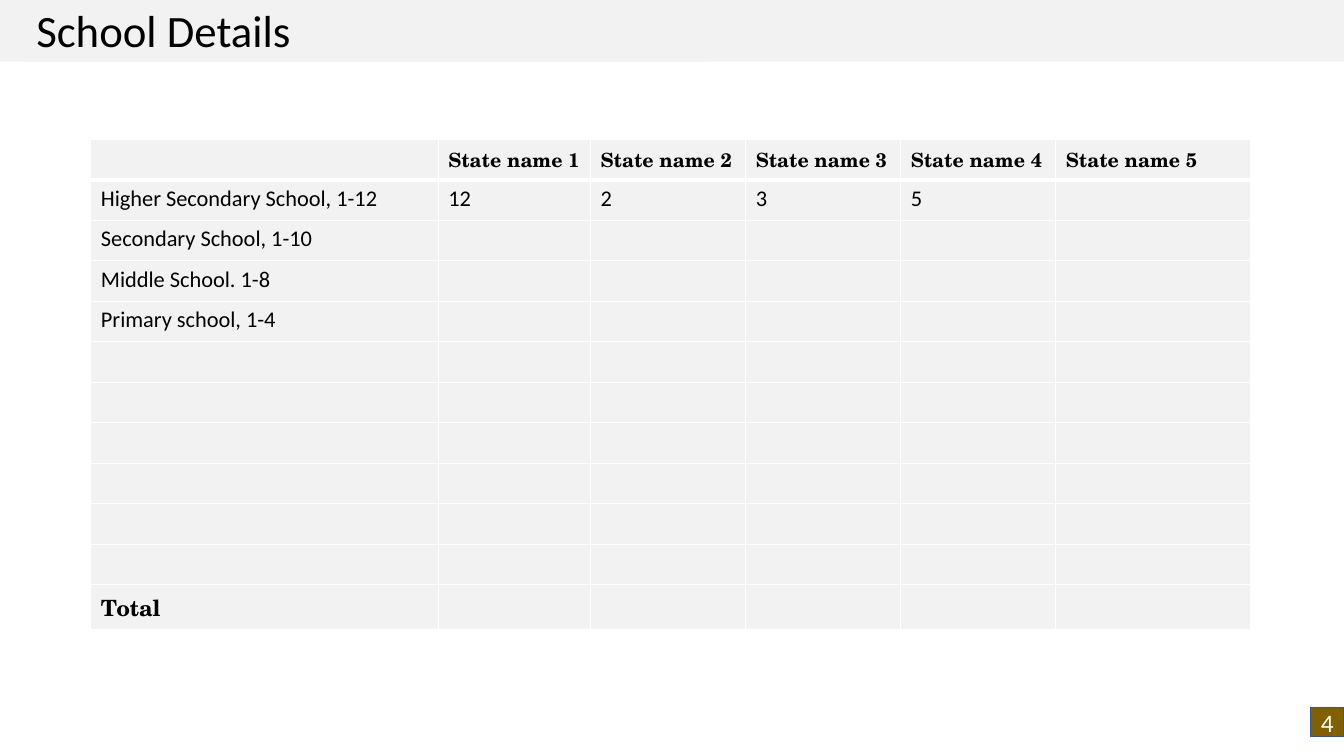
from dataclasses import dataclass

from lxml.etree import SubElement
from pptx import Presentation
from pptx.dml.color import RGBColor
from pptx.enum.shapes import MSO_SHAPE
from pptx.enum.text import MSO_ANCHOR, MSO_AUTO_SIZE, PP_ALIGN
from pptx.oxml.ns import qn
from pptx.shapes.autoshape import Shape
from pptx.slide import Slide
from pptx.table import _Cell
from pptx.text.text import _Paragraph
from pptx.util import Pt


@dataclass(frozen=True)
class Theme:
    panel: str = "F2F2F2"
    rule: str = "FFFFFF"
    ink: str = "000000"
    badge: str = "806000"
    badge_line: str = "325491"
    badge_ink: str = "FFFFFF"
    body_font: str = "Calibri"
    accent_font: str = "TeX Gyre Schola"
    title_size: float = 32
    header_size: float = 14
    body_size: float = 16
    badge_size: float = 18


@dataclass(frozen=True)
class Box:
    left: float
    top: float
    width: float
    height: float


@dataclass(frozen=True)
class TextStyle:
    font: str
    size: float
    color: str
    bold: bool = False


@dataclass(frozen=True)
class SchoolRow:
    label: str = ""
    counts: tuple[str, ...] = ()


THEME = Theme()
TITLE = TextStyle(THEME.body_font, THEME.title_size, THEME.ink)
HEADER = TextStyle(THEME.accent_font, THEME.header_size, THEME.ink, True)
BODY = TextStyle(THEME.body_font, THEME.body_size, THEME.ink)
TOTAL = TextStyle(THEME.accent_font, THEME.body_size, THEME.ink, True)
BADGE = TextStyle(THEME.body_font, THEME.badge_size, THEME.badge_ink)

BAND_BOX = Box(-13, -2, 986, 46)
TITLE_BOX = Box(18.7, -2, 484.6, 46)
TABLE_BOX = Box(64.9, 99.4, 828.7, 344.9)
BADGE_BOX = Box(936, 505.6, 24, 20.4)

COLUMN_WIDTHS = (248.2, 108.8, 110.8, 110.8, 110.8, 139.3)
HEADER_HEIGHT = 26.4
BLANK_ROWS = 6
STATES = tuple(f"State name {n}" for n in range(1, 6))
SCHOOLS = [
    SchoolRow("Higher Secondary School, 1-12", ("12", "2", "3", "5")),
    SchoolRow("Secondary School, 1-10"),
    SchoolRow("Middle School. 1-8"),
    SchoolRow("Primary school, 1-4"),
    *[SchoolRow()] * BLANK_ROWS,
    SchoolRow("Total"),
]


def rgb(color: str) -> RGBColor:
    return RGBColor.from_string(color)


def place(box: Box) -> tuple[Pt, Pt, Pt, Pt]:
    return Pt(box.left), Pt(box.top), Pt(box.width), Pt(box.height)


def add_run(p: _Paragraph, text: str, style: TextStyle) -> None:
    r = p.add_run()
    r.text = text
    r.font.name = style.font
    r.font.size = Pt(style.size)
    r.font.bold = style.bold
    r.font.color.rgb = rgb(style.color)


def add_rectangle(s: Slide, box: Box, fill: str, line: str = "") -> Shape:
    sp = s.shapes.add_shape(MSO_SHAPE.RECTANGLE, *place(box))
    sp.shadow.inherit = False
    sp.fill.solid()
    sp.fill.fore_color.rgb = rgb(fill)
    if line:
        sp.line.color.rgb = rgb(line)
        sp.line.width = Pt(1)
    else:
        sp.line.fill.background()
    return sp


def add_title(s: Slide) -> None:
    """Put the title on a band that spans the slide."""
    sp = s.shapes.title
    band = add_rectangle(s, BAND_BOX, THEME.panel)
    sp._element.addprevious(band._element)
    sp.left, sp.top, sp.width, sp.height = place(TITLE_BOX)
    sp.fill.solid()
    sp.fill.fore_color.rgb = rgb(THEME.panel)
    tf = sp.text_frame
    tf.word_wrap = True
    tf.auto_size = MSO_AUTO_SIZE.NONE
    tf.vertical_anchor = MSO_ANCHOR.TOP
    p = tf.paragraphs[0]
    p.alignment = PP_ALIGN.LEFT
    add_run(p, "School Details", TITLE)


def set_borders(cell: _Cell, top: float, bottom: float) -> None:
    tc_pr = cell._tc.get_or_add_tcPr()
    for side, width in (("L", 1), ("R", 1), ("T", top), ("B", bottom)):
        ln = SubElement(tc_pr, qn(f"a:ln{side}"), w=str(Pt(width)))
        fill = SubElement(ln, qn("a:solidFill"))
        SubElement(fill, qn("a:srgbClr"), val=THEME.rule)


def fill_cell(cell: _Cell, text: str, style: TextStyle, row: int) -> None:
    set_borders(cell, top=3 if row == 1 else 1, bottom=3 if row == 0 else 1)
    cell.fill.solid()
    cell.fill.fore_color.rgb = rgb(THEME.panel)
    p = cell.text_frame.paragraphs[0]
    if text:
        add_run(p, text, style)
    else:
        # An empty cell would otherwise take 18 pt and stretch its row.
        SubElement(p._p, qn("a:endParaRPr"), sz=str(int(style.size * 100)))


def add_school_table(s: Slide) -> None:
    rows = [SchoolRow("", STATES), *SCHOOLS]
    table = s.shapes.add_table(len(rows), len(COLUMN_WIDTHS), *place(TABLE_BOX)).table
    table.horz_banding = False
    for column, width in zip(table.columns, COLUMN_WIDTHS):
        column.width = Pt(width)
    row_height = (TABLE_BOX.height - HEADER_HEIGHT) / len(SCHOOLS)
    for i, row in enumerate(rows):
        table.rows[i].height = Pt(row_height if i else HEADER_HEIGHT)
        style = HEADER if i == 0 else TOTAL if row.label == "Total" else BODY
        texts = (row.label, *row.counts)
        for j, cell in enumerate(table.rows[i].cells):
            fill_cell(cell, texts[j] if j < len(texts) else "", style, i)


def add_page_badge(s: Slide) -> None:
    sp = add_rectangle(s, BADGE_BOX, THEME.badge, THEME.badge_line)
    tf = sp.text_frame
    tf.vertical_anchor = MSO_ANCHOR.MIDDLE
    p = tf.paragraphs[0]
    p.alignment = PP_ALIGN.CENTER
    add_run(p, "4", BADGE)


def main() -> None:
    prs = Presentation()
    prs.slide_width, prs.slide_height = Pt(960), Pt(540)
    s = prs.slides.add_slide(prs.slide_layouts.get_by_name("Title Only"))
    add_title(s)
    add_school_table(s)
    add_page_badge(s)
    prs.save("out.pptx")


if __name__ == "__main__":
    main()
